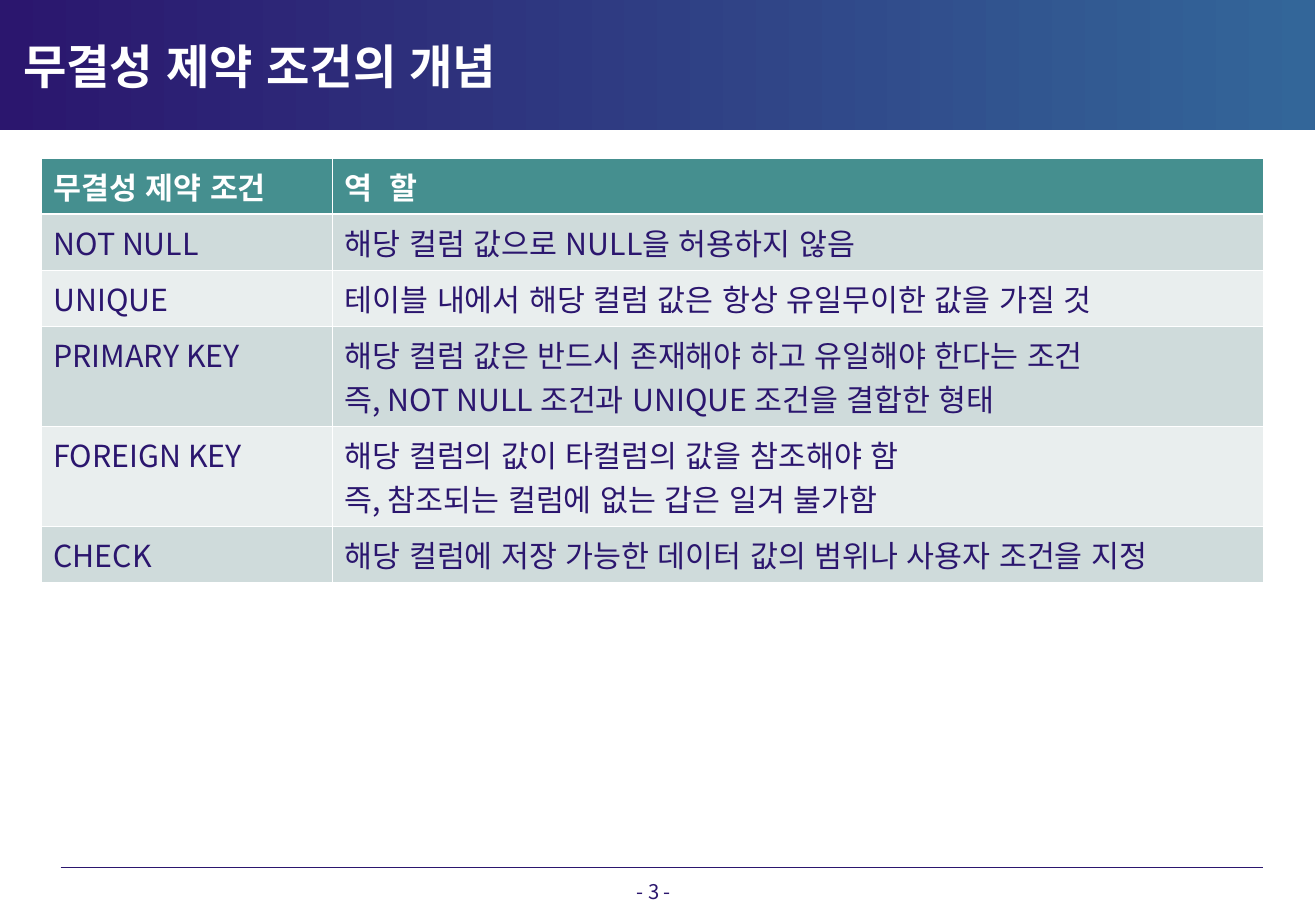
from dataclasses import dataclass

from lxml.etree import SubElement
from pptx import Presentation
from pptx.dml.color import RGBColor
from pptx.enum.lang import MSO_LANGUAGE_ID
from pptx.enum.shapes import MSO_CONNECTOR, MSO_SHAPE
from pptx.enum.text import MSO_ANCHOR, MSO_AUTO_SIZE, PP_ALIGN
from pptx.oxml.ns import qn
from pptx.util import Pt

TITLE = "무결성 제약 조건의 개념"
PAGE_NUMBER = "- 3 -"
CONSTRAINTS = [
    ("무결성 제약 조건", "역  할"),
    ("NOT NULL", "해당 컬럼 값으로 NULL을 허용하지 않음"),
    ("UNIQUE", "테이블 내에서 해당 컬럼 값은 항상 유일무이한 값을 가질 것"),
    ("PRIMARY KEY", "해당 컬럼 값은 반드시 존재해야 하고 유일해야 한다는 조건\n"
                    "즉, NOT NULL 조건과 UNIQUE 조건을 결합한 형태"),
    ("FOREIGN KEY", "해당 컬럼의 값이 타컬럼의 값을 참조해야 함\n"
                    "즉, 참조되는 컬럼에 없는 갑은 일겨 불가함"),
    ("CHECK", "해당 컬럼에 저장 가능한 데이터 값의 범위나 사용자 조건을 지정"),
]

PX_PER_INCH = 100
SLIDE_SIZE = (1084, 750)
BANNER_BOX = (0, 0, 1083, 107)
TITLE_BOX = (9, 23, 813, 62)
TABLE_AT = (34, 130)
COLUMN_WIDTHS = (240, 767)
LINE_HEIGHT = 30
ROW_PADDING = 10
RULE_ENDS = (50, 714, 1040, 714)
PAGE_BOX = (432, 719, 213, 22)


@dataclass(frozen=True)
class Theme:
    font: str = "Noto Sans CJK KR"
    ink: str = "2B166E"
    blue: str = "336699"
    white: str = "FFFFFF"
    header: str = "458F8F"
    bands: tuple = ("CFDBDB", "E9EEEE")
    title_size: int = 28
    table_size: int = 18
    page_size: int = 12
    rule_width: float = 0.75
    border_width: float = 0.45
    header_border_width: float = 1.47


THEME = Theme()


def px(*lengths):
    return [length * 914400 // PX_PER_INCH for length in lengths]


def rgb(color):
    return RGBColor.from_string(color)


def format_text(frame, size, color, bold=False, align=PP_ALIGN.LEFT):
    for paragraph in frame.paragraphs:
        paragraph.alignment = align
        for run in paragraph.runs:
            run.font.size = Pt(size)
            run.font.bold = bold
            run.font.color.rgb = rgb(color)
            run.font.name = THEME.font
            run.font.language_id = MSO_LANGUAGE_ID.KOREAN
            properties = run._r.get_or_add_rPr()
            properties.set("kern", "0")
            SubElement(properties, qn("a:ea"), typeface=THEME.font)


def add_border(cell, side, width):
    properties = cell._tc.get_or_add_tcPr()
    border = SubElement(properties, qn(f"a:ln{side}"), w=str(int(Pt(width))))
    fill = SubElement(border, qn("a:solidFill"))
    SubElement(fill, qn("a:srgbClr"), val=THEME.white)


def add_footer(slide):
    rule = slide.shapes.add_connector(MSO_CONNECTOR.STRAIGHT, *px(*RULE_ENDS))
    rule.line.color.rgb = rgb(THEME.ink)
    rule.line.width = Pt(THEME.rule_width)
    SubElement(rule._element.spPr, qn("a:effectLst"))

    page = slide.shapes.add_textbox(*px(*PAGE_BOX)).text_frame
    page.word_wrap = True
    page.text = PAGE_NUMBER
    format_text(page, THEME.page_size, THEME.ink, align=PP_ALIGN.CENTER)


def add_banner(slide):
    banner = slide.shapes.add_shape(MSO_SHAPE.RECTANGLE, *px(*BANNER_BOX))
    banner.shadow.inherit = False
    banner.line.fill.background()
    banner.fill.gradient()
    banner.fill.gradient_angle = 0
    for stop, color in zip(banner.fill.gradient_stops, (THEME.ink, THEME.blue)):
        stop.color.rgb = rgb(color)

    title = slide.shapes.title
    slide.shapes.element.append(title.element)
    title.left, title.top, title.width, title.height = px(*TITLE_BOX)
    frame = title.text_frame
    frame.text = TITLE
    frame.word_wrap = True
    frame.auto_size = MSO_AUTO_SIZE.NONE
    frame.vertical_anchor = MSO_ANCHOR.MIDDLE
    format_text(frame, THEME.title_size, THEME.white, bold=True)


def add_constraints(slide):
    heights = [LINE_HEIGHT * (role.count("\n") + 1) + ROW_PADDING
               for _, role in CONSTRAINTS]
    table = slide.shapes.add_table(
        len(CONSTRAINTS), len(COLUMN_WIDTHS),
        *px(*TABLE_AT, sum(COLUMN_WIDTHS), sum(heights))).table
    for column, width in zip(table.columns, px(*COLUMN_WIDTHS)):
        column.width = width
    for row, height in zip(table.rows, px(*heights)):
        row.height = height

    for row_index, constraint in enumerate(CONSTRAINTS):
        is_header = row_index == 0
        band = THEME.header if is_header else THEME.bands[(row_index - 1) % 2]
        for column_index, wording in enumerate(constraint):
            cell = table.cell(row_index, column_index)
            for side in "LRTB":
                under_header = (row_index, side) in ((0, "B"), (1, "T"))
                add_border(cell, side, THEME.header_border_width
                           if under_header else THEME.border_width)
            cell.fill.solid()
            cell.fill.fore_color.rgb = rgb(band)
            cell.text_frame.text = wording
            format_text(cell.text_frame, THEME.table_size,
                        THEME.white if is_header else THEME.ink, bold=is_header)


def main():
    deck = Presentation()
    deck.slide_width, deck.slide_height = px(*SLIDE_SIZE)
    slide = deck.slides.add_slide(deck.slide_layouts[5])
    add_footer(slide)
    add_banner(slide)
    add_constraints(slide)
    deck.save("out.pptx")


if __name__ == "__main__":
    main()
